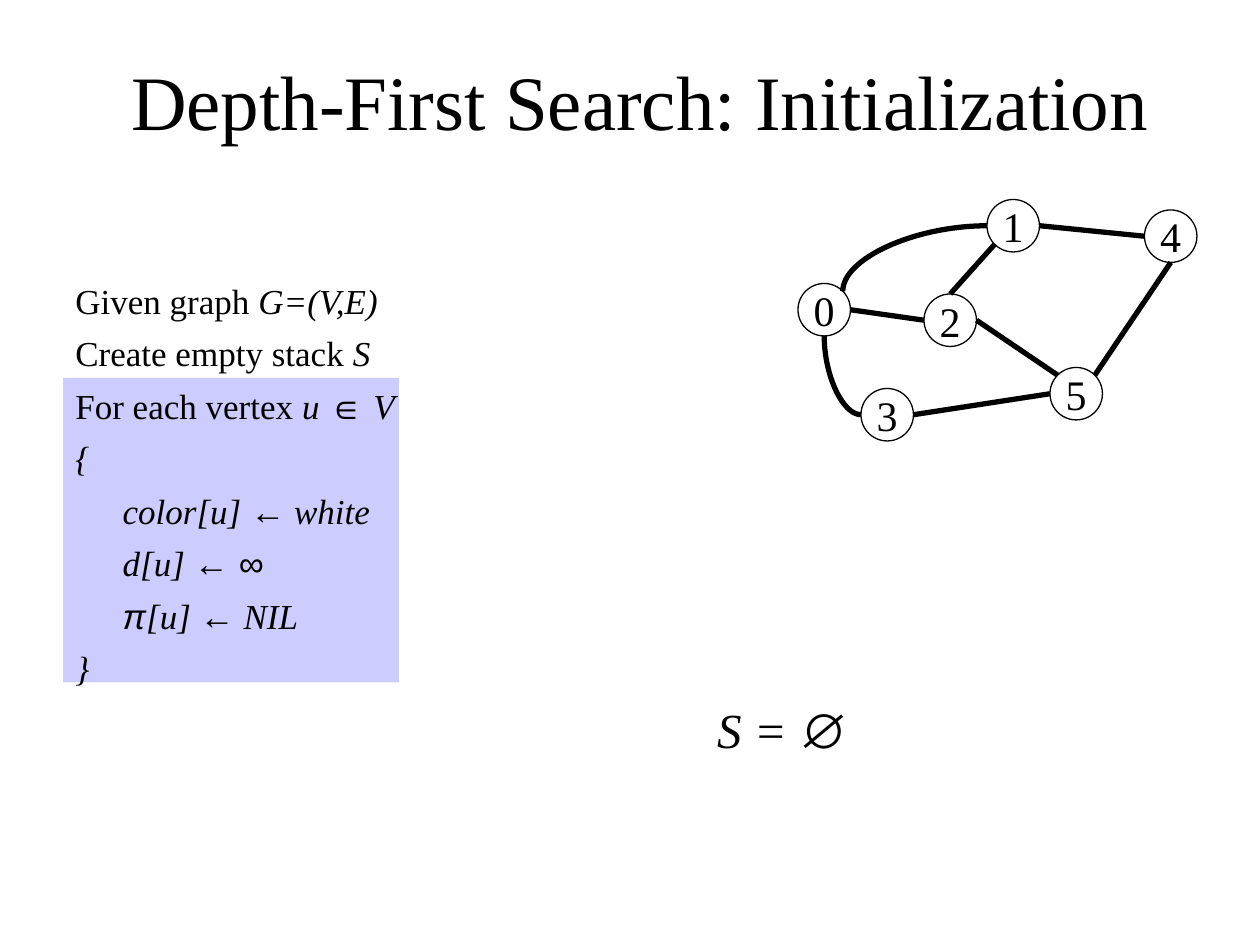
from dataclasses import dataclass
from math import cos, pi, sin

from lxml.etree import SubElement
from pptx import Presentation
from pptx.dml.color import RGBColor
from pptx.enum.shapes import MSO_CONNECTOR as Link, MSO_SHAPE as Shape
from pptx.enum.text import MSO_ANCHOR as Anchor, MSO_AUTO_SIZE as AutoSize, PP_ALIGN as Align
from pptx.oxml.ns import qn
from pptx.util import Emu, Pt

BLACK = RGBColor(0x00, 0x00, 0x00)
LAVENDER = RGBColor(0xCC, 0xCC, 0xFF)
SERIF, SANS = "Times New Roman", "Arial"
NODE_SIZE = 40
INDENT = 36
# Connection sites of an ellipse, counterclockwise from the top
TOP, TOP_LEFT, LEFT, BOTTOM_LEFT, BOTTOM, BOTTOM_RIGHT, RIGHT, TOP_RIGHT = range(8)


def px(length: float) -> Emu:
    return Emu(round(length * 9525))


@dataclass(frozen=True)
class Span:
    text: str
    italic: bool = False
    font: str = SERIF


@dataclass(frozen=True)
class Line:
    spans: tuple[Span, ...]
    nested: bool = False


@dataclass(frozen=True)
class Node:
    label: str
    left: int
    top: int

    def site(self, index: int) -> tuple[Emu, Emu]:
        radius, angle = NODE_SIZE / 2, index * pi / 4
        return (px(self.left + radius - radius * sin(angle)),
                px(self.top + radius - radius * cos(angle)))


@dataclass(frozen=True)
class Edge:
    start: int
    start_site: int
    end: int
    end_site: int
    curved: bool = False


ARROW = Span("←", True, SANS)
CODE = (
    Line((Span("Given graph "), Span("G=(V,E)", True))),
    Line((Span("Create empty stack"), Span(" S", True))),
    Line((Span("For each vertex"), Span(" u ", True), Span("∈ ", font=SANS), Span("V", True))),
    Line((Span("{", True),)),
    Line((Span("color[u] ", True), ARROW, Span(" white", True)), nested=True),
    Line((Span("d[u] ", True), Span("← ∞", True, SANS)), nested=True),
    Line((Span("π", True, SANS), Span("[u] ", True), ARROW, Span(" NIL", True)), nested=True),
    Line((Span("}", True),)),
)
NODES = (
    Node("0", 608, 216), Node("1", 752, 152), Node("2", 704, 224),
    Node("3", 656, 296), Node("4", 872, 160), Node("5", 800, 280),
)
EDGES = (
    Edge(1, LEFT, 0, TOP_RIGHT, curved=True),
    Edge(0, RIGHT, 2, LEFT),
    Edge(3, LEFT, 0, BOTTOM, curved=True),
    Edge(3, RIGHT, 5, LEFT),
    Edge(5, TOP_LEFT, 2, RIGHT),
    Edge(2, TOP, 1, BOTTOM_LEFT),
    Edge(5, TOP_RIGHT, 4, BOTTOM),
    Edge(1, RIGHT, 4, LEFT),
)


def add_spans(para, spans: tuple[Span, ...], size: int) -> None:
    for span in spans:
        run = para.add_run()
        run.text = span.text
        run.font.size = Pt(size)
        run.font.name = span.font
        run.font.italic = span.italic
        run.font.color.rgb = BLACK


def add_code(page, lines: tuple[Line, ...]) -> None:
    frame = page.shapes.add_textbox(px(48), px(208), px(816), px(432)).text_frame
    frame.word_wrap = True
    for number, line in enumerate(lines):
        para = frame.add_paragraph() if number else frame.paragraphs[0]
        para.space_before = Pt(6)
        properties = para._p.get_or_add_pPr()
        properties.set("marL", str(px(INDENT)))
        properties.set("indent", str(px(0 if line.nested else -INDENT)))
        add_spans(para, line.spans, 20)


def add_node(page, node: Node):
    circle = page.shapes.add_shape(
        Shape.OVAL, px(node.left), px(node.top), px(NODE_SIZE), px(NODE_SIZE))
    circle.shadow.inherit = False
    circle.fill.background()
    circle.line.color.rgb = BLACK
    circle.line.width = Pt(0.75)
    frame = circle.text_frame
    frame.word_wrap = False
    frame.vertical_anchor = Anchor.MIDDLE
    para = frame.paragraphs[0]
    para.alignment = Align.CENTER
    add_spans(para, (Span(node.label),), 24)
    return circle


def add_edge(page, edge: Edge, circles: list) -> None:
    connector = page.shapes.add_connector(
        Link.CURVE if edge.curved else Link.STRAIGHT,
        *NODES[edge.start].site(edge.start_site), *NODES[edge.end].site(edge.end_site))
    connector.line.color.rgb = BLACK
    connector.line.width = Pt(3)
    element = connector._element
    SubElement(element.spPr, qn("a:effectLst"))
    if edge.curved:
        element.spPr.find(qn("a:prstGeom")).set("prst", "curvedConnector2")
    # Attach both ends to their circles
    joints = element.find(qn("p:nvCxnSpPr")).find(qn("p:cNvCxnSpPr"))
    for tag, node, site in (("a:stCxn", edge.start, edge.start_site),
                            ("a:endCxn", edge.end, edge.end_site)):
        SubElement(joints, qn(tag), id=str(circles[node].shape_id), idx=str(site))


def main() -> None:
    deck = Presentation()
    deck.slide_width, deck.slide_height = px(960), px(720)
    page = deck.slides.add_slide(deck.slide_layouts[5])

    # Title
    title = page.shapes.title
    title.left, title.top, title.width, title.height = px(64), px(16), px(848), px(120)
    title.text_frame.vertical_anchor = Anchor.MIDDLE
    para = title.text_frame.paragraphs[0]
    para.alignment = Align.CENTER
    add_spans(para, (Span("Depth-First Search: Initialization"),), 44)

    # Pseudocode with the current step highlighted
    highlight = page.shapes.add_shape(Shape.RECTANGLE, px(48), px(288), px(256), px(232))
    highlight.shadow.inherit = False
    highlight.fill.solid()
    highlight.fill.fore_color.rgb = LAVENDER
    highlight.line.fill.background()
    add_code(page, CODE)

    # Graph
    circles = [add_node(page, node) for node in NODES]
    for edge in EDGES:
        add_edge(page, edge, circles)

    # Stack state
    stack = page.shapes.add_textbox(px(537), px(528), px(120), px(55)).text_frame
    stack.word_wrap = False
    stack.auto_size = AutoSize.SHAPE_TO_FIT_TEXT
    add_spans(stack.paragraphs[0], (Span("S = ", True), Span("∅", True, SANS)), 28)

    deck.save("out.pptx")


if __name__ == "__main__":
    main()
